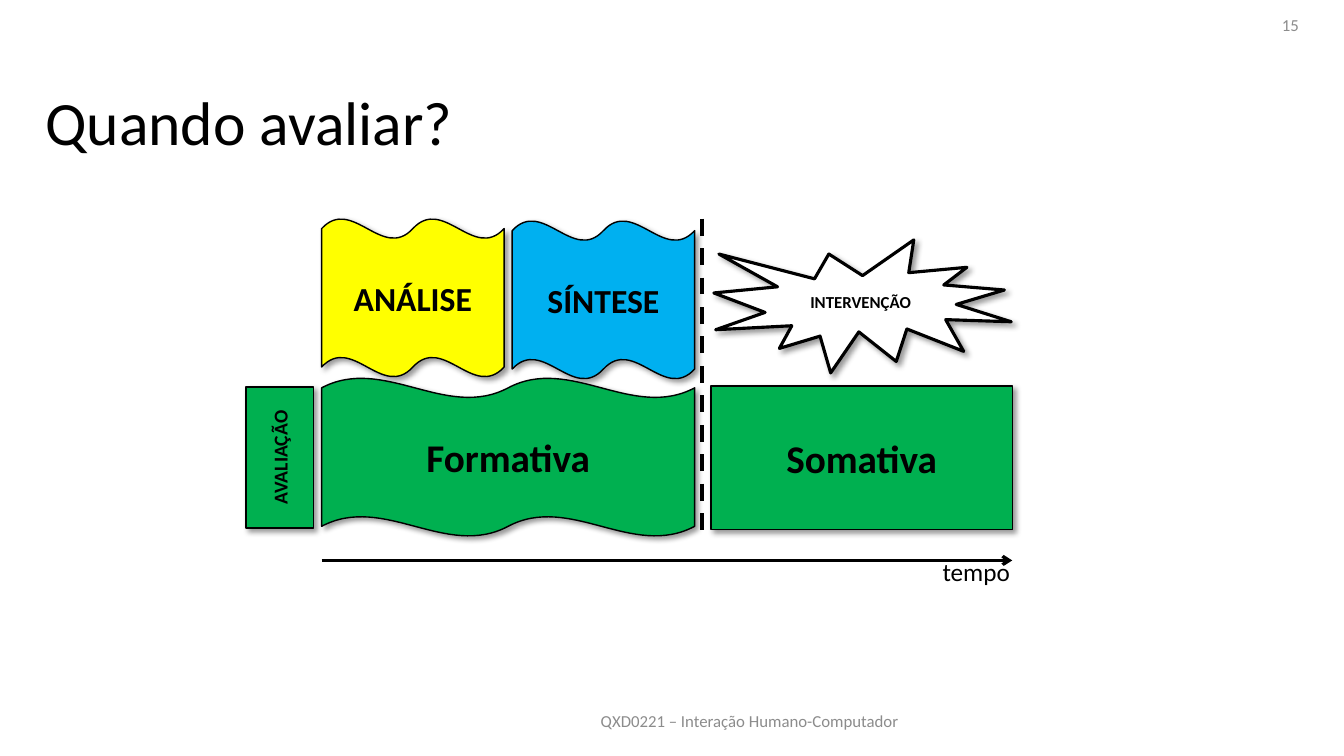
from lxml import etree
from pptx import Presentation
from pptx.dml.color import RGBColor
from pptx.enum import dml, shapes, text
from pptx.oxml import ns
from pptx.util import Inches, Pt

COLORS = {
    "black": "000000",
    "white": "FFFFFF",
    "gray": "8C8C8C",
    "yellow": "FFFF00",
    "blue": "00B0F0",
    "green": "00B050",
}
WAVE = shapes.MSO_SHAPE.DOUBLE_WAVE
BURST = shapes.MSO_SHAPE.EXPLOSION1
ALIGN = text.PP_ALIGN


def rgb(name):
    return RGBColor.from_string(COLORS[name])


def add_xml(parent, tag, **attrs):
    return etree.SubElement(parent, ns.qn(tag), attrs)


def write(tf, words, size=12, color="black", bold=False, align=ALIGN.LEFT,
          anchor=text.MSO_ANCHOR.MIDDLE, spacing=None):
    tf.word_wrap = True
    tf.vertical_anchor = anchor
    p = tf.paragraphs[0]
    p.alignment = align
    p.line_spacing = spacing
    r = p.add_run()
    r.text = words
    r.font.name = "Calibri"
    r.font.size = Pt(size)
    r.font.bold = bold
    r.font.color.rgb = rgb(color)


def add_label(s, box, words, **fmt):
    sp = s.shapes.add_textbox(*map(Inches, box))
    write(sp.text_frame, words, **fmt)
    return sp


def add_shadow(sp):
    sp.shadow.inherit = False
    effects = sp._element.spPr.find(ns.qn("a:effectLst"))
    shadow = add_xml(effects, "a:outerShdw", blurRad=str(Pt(4)),
                     dist=str(Pt(3)), dir="2700000", algn="tl",
                     rotWithShape="0")
    color = add_xml(shadow, "a:srgbClr", val=COLORS["black"])
    add_xml(color, "a:alpha", val="40000")


def add_phase(s, box, words, fill, size, kind=WAVE, line=1, flat=False,
              upright=False):
    sp = s.shapes.add_shape(kind, *map(Inches, box))
    sp.fill.solid()
    sp.fill.fore_color.rgb = rgb(fill)
    sp.line.color.rgb = rgb("black")
    sp.line.width = Pt(line)
    add_shadow(sp)
    if flat:
        sp.adjustments[0] = sp.adjustments[1] = 0
    write(sp.text_frame, words, size=size, bold=True, align=ALIGN.CENTER)
    if upright:
        sp.text_frame._txBody.bodyPr.set("vert", "vert270")


def add_line(s, start, end, width, dashed=False, arrow=False):
    c = s.shapes.add_connector(shapes.MSO_CONNECTOR.STRAIGHT,
                               *map(Inches, start + end))
    c.line.color.rgb = rgb("black")
    c.line.width = Pt(width)
    if dashed:
        c.line.dash_style = dml.MSO_LINE.DASH
    if arrow:
        add_xml(c.line._get_or_add_ln(), "a:tailEnd", type="arrow")
    add_xml(c._element.spPr, "a:effectLst")


def main():
    prs = Presentation()
    prs.slide_width, prs.slide_height = Inches(13.33), Inches(7.5)
    s = prs.slides.add_slide(prs.slide_layouts[5])

    # Title, footer and page number
    title = s.shapes.title
    title.left, title.top = Inches(0.35), Inches(0.65)
    title.width, title.height = Inches(12.61), Inches(1.2)
    write(title.text_frame, "Quando avaliar?", size=44, spacing=0.9)
    add_label(s, (3.49, 6.95, 7.89, 0.4),
              "QXD0221 – Interação Humano-Computador",
              color="gray", align=ALIGN.CENTER)
    add_label(s, (9.98, 0.05, 3, 0.4), "15", color="gray", align=ALIGN.RIGHT)

    # Evaluation phases below the design activities
    add_phase(s, (5.08, 2.19, 1.81, 1.57), "SÍNTESE", "blue", 24)
    add_phase(s, (3.19, 3.75, 3.7, 1.57), "Formativa", "green", 28)
    add_phase(s, (7.05, 3.83, 2.99, 1.42), "Somativa", "green", 28, flat=True)
    add_phase(s, (3.19, 2.17, 1.81, 1.57), "ANÁLISE", "yellow", 24)

    # Divider before the intervention
    add_line(s, (6.96, 2.17), (6.96, 5.32), 3, dashed=True)
    add_phase(s, (7.08, 2.38, 2.95, 1.32), "INTERVENÇÃO", "white", 12,
              kind=BURST, line=2.25)
    add_phase(s, (2.44, 3.84, 0.67, 1.4), "AVALIAÇÃO", "green", 14,
              flat=True, upright=True)

    # Time axis
    add_line(s, (3.19, 5.56), (10.04, 5.56), 2.25, arrow=True)
    time = add_label(s, (9.25, 5.47, 0.88, 0.4), "tempo", size=18,
                     anchor=text.MSO_ANCHOR.TOP)
    time.text_frame.auto_size = text.MSO_AUTO_SIZE.SHAPE_TO_FIT_TEXT

    prs.save("out.pptx")


if __name__ == "__main__":
    main()
